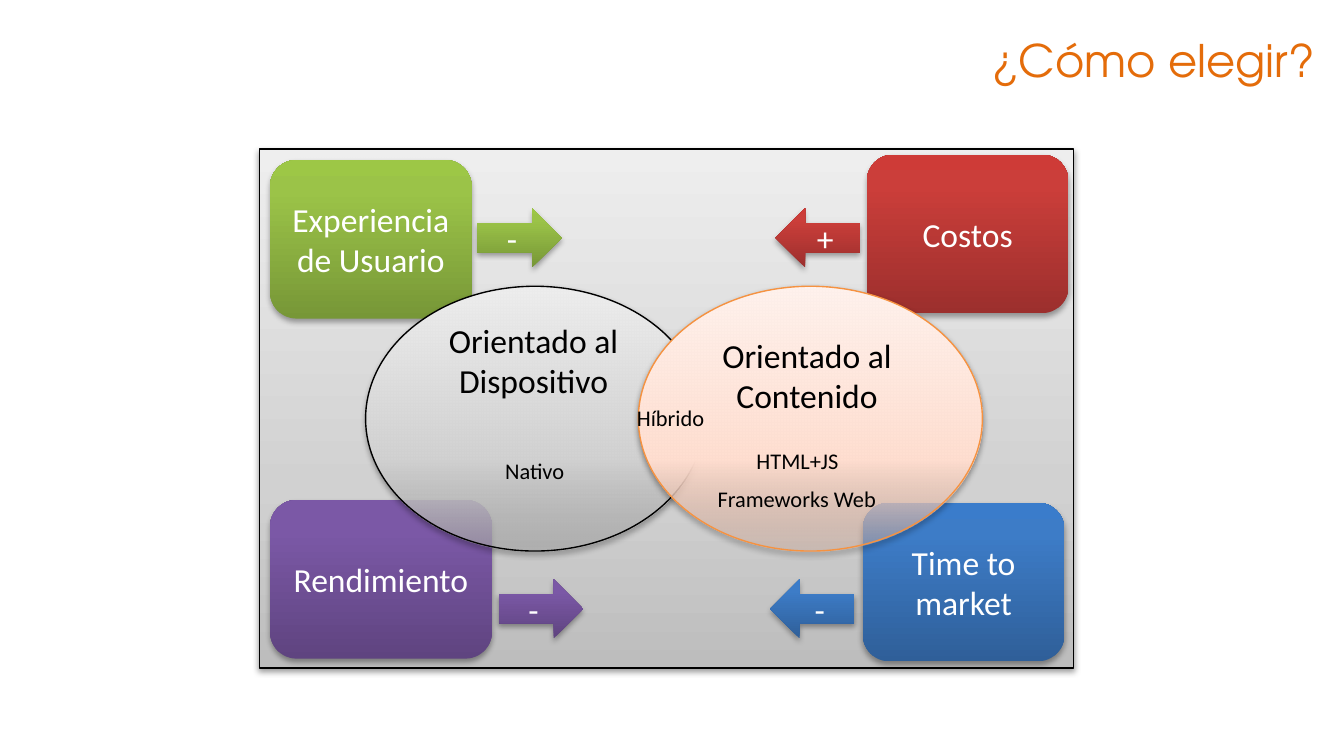
import pptx
import pptx.util
import pptx.dml.color
import pptx.enum.shapes
import pptx.enum.text
import pptx.oxml
import pptx.oxml.ns

Inch, Pt = pptx.util.Inches, pptx.util.Pt
RGB = pptx.dml.color.RGBColor
Kind = pptx.enum.shapes.MSO_SHAPE
Align = pptx.enum.text.PP_ALIGN
Anchor = pptx.enum.text.MSO_ANCHOR

# Content: places are left, top, width, height in inches
HEX = {"title": "E46C0A", "black": "000000", "white": "FFFFFF", "edge": "F69240"}
# Gradient colours from bottom to top
FADE = {
    "green": ("779737", "9BC348", "9DC746"),
    "purple": ("5F4480", "7B58A6", "7C57A8"),
    "red": ("9C2F2D", "CB3E3A", "CE3B37"),
    "blue": ("2F5F99", "3D7CC7", "3A7CCB"),
    "grey": ("BDBDBD", "D1D1D1", "EEEEEE"),
    "peach": ("FFD2BD", "FFDED0", "FFF2ED"),
}
TITLE = ("¿Cómo elegir?", (6.81, 0.19, 3.07, 0.5))
FRAME = (1.93, 1.11, 6.06, 3.86)
BOX_H, ARROW_W, ARROW_H = 1.18, 0.63, 0.44
# Text, colour, left, top, width; then sign, arrow kind, left, top
BOXES = [
    ("Experiencia de Usuario", "green", 2.01, 1.19, 1.5, "-", Kind.RIGHT_ARROW, 3.55, 1.55),
    ("Rendimiento", "purple", 2.01, 3.72, 1.65, "-", Kind.RIGHT_ARROW, 3.71, 4.31),
    ("Costos", "red", 6.45, 1.15, 1.5, "+", Kind.LEFT_ARROW, 5.77, 1.55),
    ("Time to market", "blue", 6.42, 3.74, 1.5, "-", Kind.LEFT_ARROW, 5.73, 4.31),
]
# Colour, line, opacity at the bottom, place
OVALS = [
    ("grey", "black", 55, (2.72, 2.13, 2.52, 1.97)),
    ("peach", "edge", 31, (4.75, 2.13, 2.56, 1.97)),
]
HEADS = [
    ("Orientado al Contenido", (5.24, 2.44, 1.53, 0.71)),
    ("Orientado al Dispositivo", (3.19, 2.33, 1.56, 0.71)),
]
NOTES = [
    ("HTML+JS", (5.53, 3.28, 0.82, 0.3)),
    ("Frameworks Web", (5.24, 3.56, 1.39, 0.3)),
    ("Nativo", (3.66, 3.35, 0.65, 0.3)),
    ("Híbrido", (4.64, 2.96, 0.71, 0.3)),
]

deck = pptx.Presentation()
deck.slide_width, deck.slide_height = Inch(10), Inch(5.55)
slide = deck.slides.add_slide(deck.slide_layouts[5])
shapes = slide.shapes


def write(shape, text, size=18, color="black", font="Calibri",
          align=Align.CENTER, anchor=Anchor.TOP, wrap=True):
    frame = shape.text_frame
    frame.word_wrap = wrap
    frame.auto_size = pptx.enum.text.MSO_AUTO_SIZE.NONE
    frame.vertical_anchor = anchor
    para = frame.paragraphs[0]
    para.alignment = align
    run = para.add_run()
    run.text = text
    run.font.size, run.font.name = Pt(size), font
    run.font.color.rgb = RGB.from_string(HEX[color])


def shade(shape, fade, mid, alpha):
    """Fill upwards from the bottom edge."""
    stops = ""
    for pos, color, seen in zip((0, mid, 100), FADE[fade], (alpha, 100, 100)):
        stops += (f'<a:gs pos="{pos * 1000}"><a:srgbClr val="{color}">'
                  f'<a:alpha val="{seen * 1000}"/></a:srgbClr></a:gs>')
    fill = pptx.oxml.parse_xml(
        f'<a:gradFill {pptx.oxml.ns.nsdecls("a")} rotWithShape="1"><a:gsLst>{stops}'
        '</a:gsLst><a:lin ang="16200000" scaled="0"/></a:gradFill>')
    shape._element.spPr.find(pptx.oxml.ns.qn("a:prstGeom")).addnext(fill)


def cast(shape, alpha, dist):
    """Drop a soft shadow straight down."""
    shape.shadow.inherit = False
    drop = pptx.oxml.parse_xml(
        f'<a:outerShdw {pptx.oxml.ns.nsdecls("a")} blurRad="{Pt(3.1)}" '
        f'dist="{Pt(dist)}" dir="5400000" rotWithShape="0"><a:srgbClr val="000000">'
        f'<a:alpha val="{alpha * 1000}"/></a:srgbClr></a:outerShdw>')
    shape._element.spPr.find(pptx.oxml.ns.qn("a:effectLst")).append(drop)


def draw(kind, place, fade, line=None, alpha=100):
    shape = shapes.add_shape(kind, *map(Inch, place))
    if line:
        shape.line.color.rgb = RGB.from_string(HEX[line])
        shape.line.width = Pt(0.75)
        cast(shape, 38, 1.6)
    else:
        shape.line.fill.background()
        cast(shape, 35, 1.8)
    shade(shape, fade, 35 if line else 80, alpha)
    return shape


# Title
text, place = TITLE
head = shapes.title
head.left, head.top, head.width, head.height = map(Inch, place)
write(head, text, size=24, color="title", font="TeX Gyre Adventor", align=Align.RIGHT)

# Frame, corner boxes and their arrows
draw(Kind.RECTANGLE, FRAME, "grey", line="black")
for text, fade, left, top, width, sign, kind, tip, level in BOXES:
    box = draw(Kind.ROUNDED_RECTANGLE, (left, top, width, BOX_H), fade)
    arrow = draw(kind, (tip, level, ARROW_W, ARROW_H), fade)
    for shape, words in ((box, text), (arrow, sign)):
        write(shape, words, color="white", anchor=Anchor.MIDDLE)

# Overlapping ovals
for fade, line, alpha, place in OVALS:
    draw(Kind.OVAL, place, fade, line=line, alpha=alpha)

# Labels on the ovals
for text, place in HEADS:
    write(shapes.add_textbox(*map(Inch, place)), text)
for text, place in NOTES:
    write(shapes.add_textbox(*map(Inch, place)), text, size=12, align=Align.LEFT, wrap=False)

deck.save("out.pptx")
